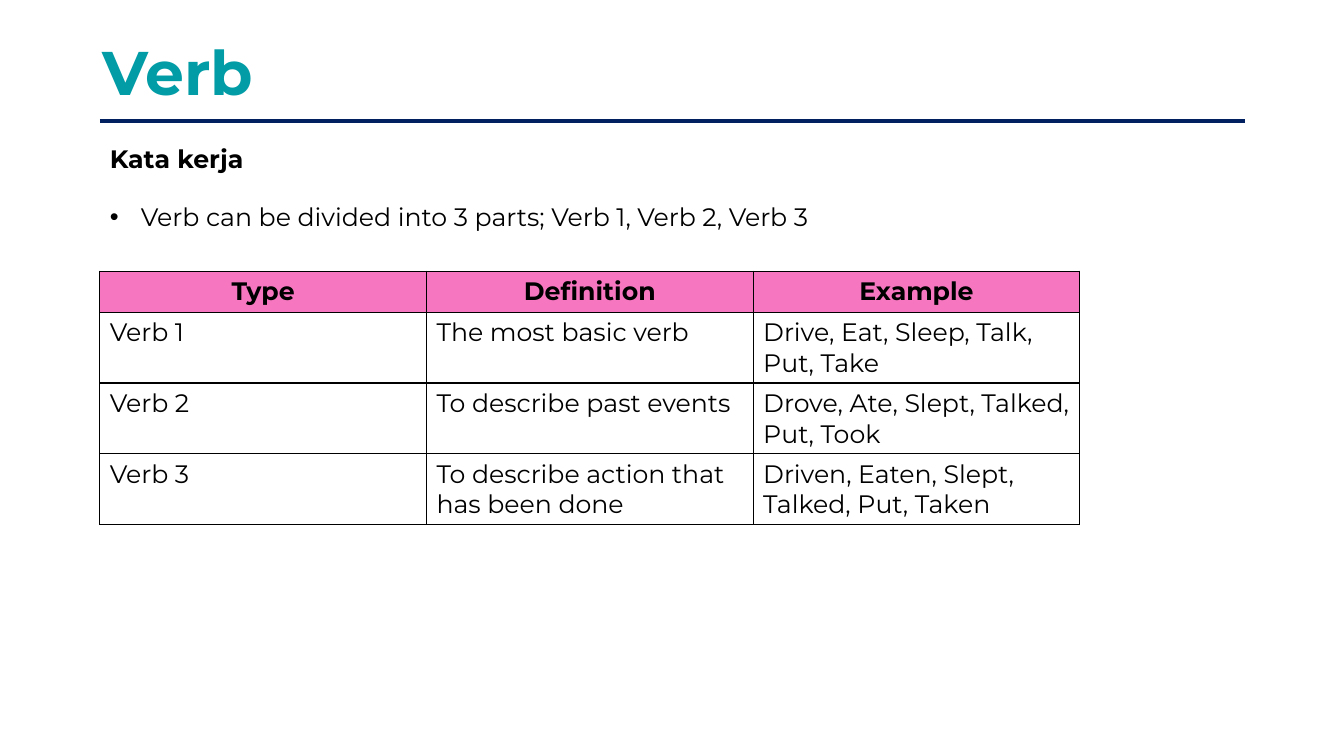
from pptx import Presentation
from pptx.util import Inches, Pt
from pptx.dml.color import RGBColor
from pptx.enum.shapes import MSO_CONNECTOR
from pptx.enum.text import MSO_ANCHOR, PP_ALIGN
from lxml.etree import SubElement
from pptx.oxml.ns import qn

# Content
TITLE = "Verb"
SUBTITLE = "Kata kerja"
BULLET = "Verb can be divided into 3 parts; Verb 1, Verb 2, Verb 3"
ROWS = [
    ("Type", "Definition", "Example"),
    ("Verb 1", "The most basic verb", "Drive, Eat, Sleep, Talk, Put, Take"),
    ("Verb 2", "To describe past events", "Drove, Ate, Slept, Talked, Put, Took"),
    ("Verb 3", "To describe action that has been done",
     "Driven, Eaten, Slept, Talked, Put, Taken"),
]
COLORS = {"title": "019CA6", "rule": "002060", "text": "000000",
          "header": "F676BF", "border": "000000"}
FONT = "Montserrat"
LEFT = 0.99
COL_W, HEAD_H, ROW_H = 3.24, 0.41, 0.7


def rgb(name):
    return RGBColor.from_string(COLORS[name])


def add_run(p, text, size=18, color="text", bold=False):
    r = p.add_run()
    r.text = text
    r.font.name, r.font.size, r.font.bold = FONT, Pt(size), bold
    r.font.color.rgb = rgb(color)


def add_text(s, top, text, bold=False):
    tf = s.shapes.add_textbox(Inches(LEFT), Inches(top), Inches(10.59), Inches(0.4)).text_frame
    tf.word_wrap = True
    p = tf.paragraphs[0]
    add_run(p, text, bold=bold)
    return p


def set_bullet(p, indent):
    pPr = p._p.get_or_add_pPr()
    pPr.set("marL", str(Inches(indent)))
    pPr.set("indent", str(-Inches(indent)))
    SubElement(pPr, qn("a:buFont"), typeface="Arial")
    SubElement(pPr, qn("a:buChar"), char="•")


def set_borders(cell):
    tcPr = cell._tc.get_or_add_tcPr()
    for i, side in enumerate(("lnL", "lnR", "lnT", "lnB")):
        ln = SubElement(tcPr, qn("a:" + side), w=str(Pt(1)))
        fill = SubElement(ln, qn("a:solidFill"))
        SubElement(fill, qn("a:srgbClr"), val=COLORS["border"])
        tcPr.insert(i, ln)  # borders come before the fill


prs = Presentation()
prs.slide_width, prs.slide_height = Inches(13.33), Inches(7.5)
s = prs.slides.add_slide(prs.slide_layouts[5])

# Title
title = s.shapes.title
title.left, title.top, title.width, title.height = map(Inches, (0.92, 0.29, 11.5, 0.91))
tf = title.text_frame
tf.vertical_anchor = MSO_ANCHOR.MIDDLE
p = tf.paragraphs[0]
p.alignment, p.line_spacing = PP_ALIGN.LEFT, 0.9
add_run(p, TITLE, 44, "title", True)

# Rule under the title
rule = s.shapes.add_connector(MSO_CONNECTOR.STRAIGHT, Inches(LEFT), Inches(1.2),
                              Inches(12.35), Inches(1.2))
rule.line.color.rgb, rule.line.width = rgb("rule"), Pt(3)
SubElement(rule._element.spPr, qn("a:effectLst"))

# Subtitle and bullet
add_text(s, 1.37, SUBTITLE, bold=True)
set_bullet(add_text(s, 1.95, BULLET), 0.31)

# Table
n_rows, n_cols = len(ROWS), len(ROWS[0])
table = s.shapes.add_table(n_rows, n_cols, Inches(LEFT), Inches(2.69), Inches(n_cols * COL_W),
                           Inches(HEAD_H + (n_rows - 1) * ROW_H)).table
table.horz_banding = False
for col in table.columns:
    col.width = Inches(COL_W)
for i, texts in enumerate(ROWS):
    head = i == 0
    table.rows[i].height = Inches(HEAD_H if head else ROW_H)
    for j, text in enumerate(texts):
        cell = table.cell(i, j)
        if head:
            cell.fill.solid()
            cell.fill.fore_color.rgb = rgb("header")
        else:
            cell.fill.background()
        set_borders(cell)
        p = cell.text_frame.paragraphs[0]
        p.alignment = PP_ALIGN.CENTER if head else PP_ALIGN.LEFT
        add_run(p, text, bold=head)

prs.save("out.pptx")
